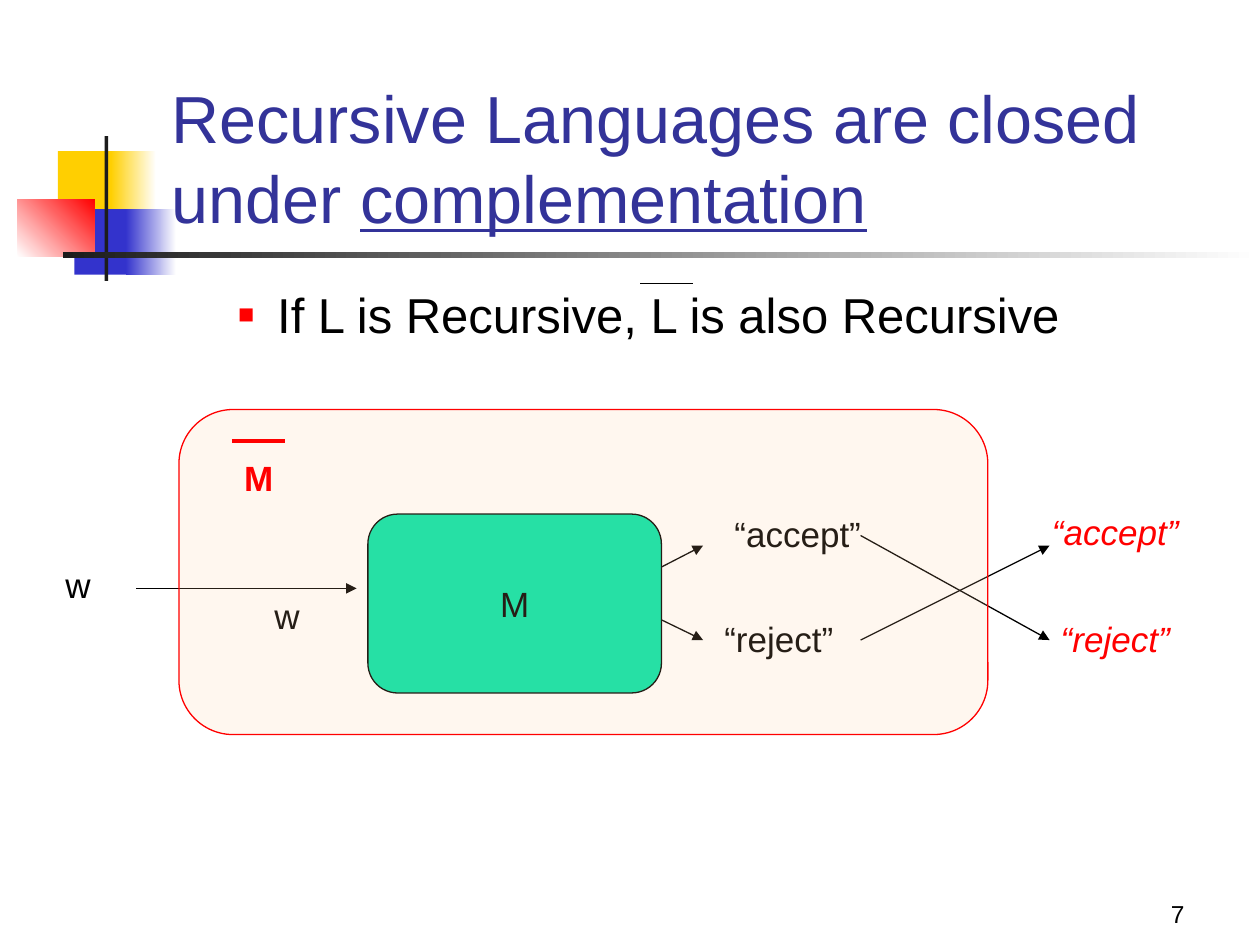
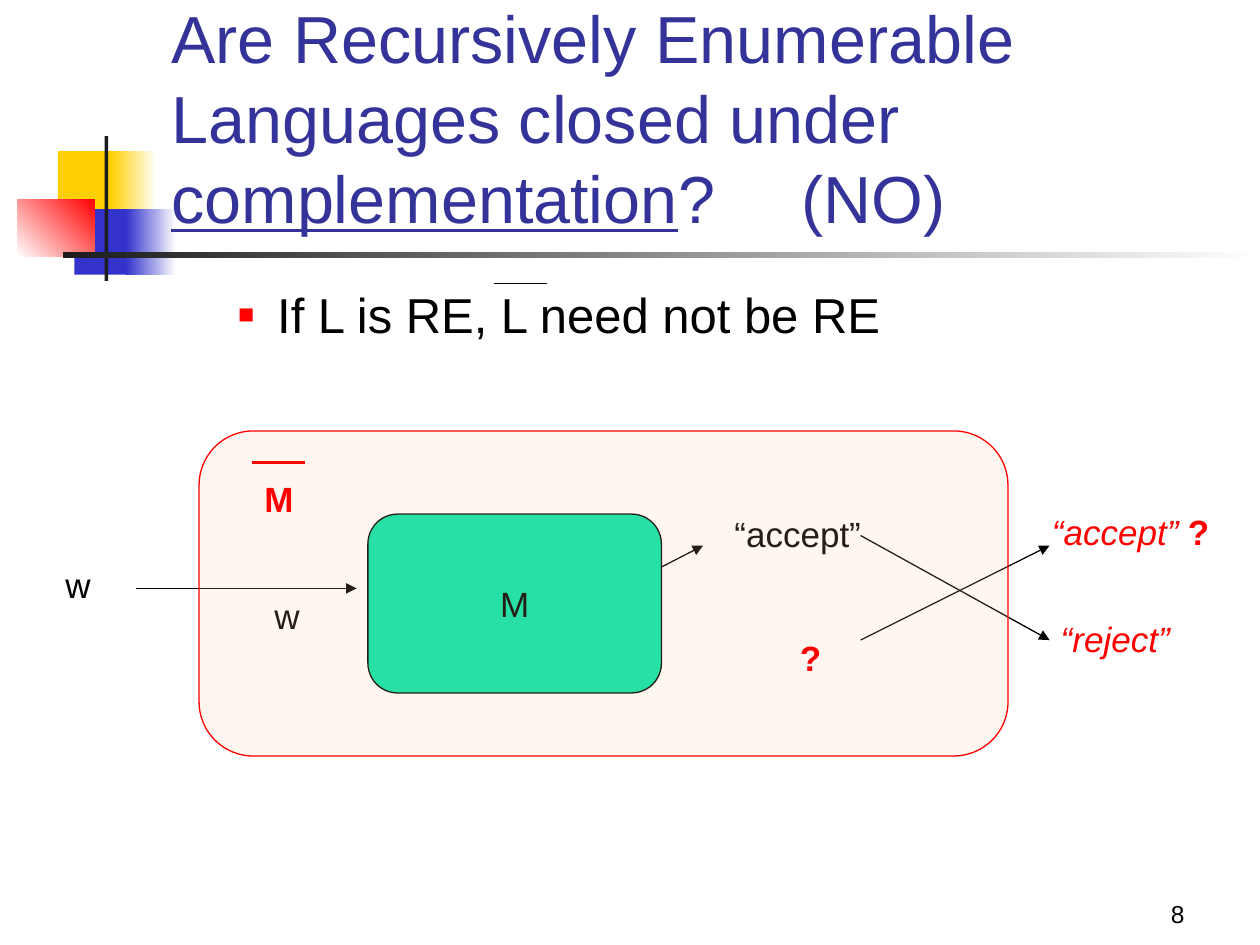
import pptx
import pptx.util
import pptx.dml.color
import pptx.enum.shapes
import pptx.enum.text
import pptx.oxml.ns
import lxml.etree

Inches = pptx.util.Inches
Pt = pptx.util.Pt
RGBColor = pptx.dml.color.RGBColor
SHAPE = pptx.enum.shapes.MSO_SHAPE
ALIGN = pptx.enum.text.PP_ALIGN
ANCHOR = pptx.enum.text.MSO_ANCHOR
qn = pptx.oxml.ns.qn

BLACK = RGBColor(0x00, 0x00, 0x00)
WHITE = RGBColor(0xFF, 0xFF, 0xFF)
RED = RGBColor(0xFF, 0x00, 0x00)
YELLOW = RGBColor(0xFF, 0xCF, 0x01)
BLUE = RGBColor(0x33, 0x33, 0xCC)
CHARCOAL = RGBColor(0x1C, 0x1C, 0x1C)
TITLE_BLUE = RGBColor(0x33, 0x33, 0x99)
GREEN = RGBColor(0x00, 0xE4, 0xA8)
PEACH = RGBColor(0xFF, 0xCC, 0x99)


def add_text(p, text, size=20, color=BLACK, bold=False, italic=False, underline=False, align=ALIGN.LEFT):
    p.alignment = align
    r = p.add_run()
    r.text = text
    r.font.name = "Arial"
    r.font.size = Pt(size)
    r.font.color.rgb = color
    r.font.bold = bold
    r.font.italic = italic
    r.font.underline = underline


def sub(parent, tag, **attributes):
    return lxml.etree.SubElement(parent, qn(tag), attributes)


class Deck:
    def __init__(self):
        self.prs = pptx.Presentation()
        self.prs.slide_width = Inches(10)
        self.prs.slide_height = Inches(7.5)
        self.layout = self.prs.slide_layouts[1]
        self.s = None

    def new_slide(self, number):
        self.s = self.prs.slides.add_slide(self.layout)
        if len(self.prs.slides) == 1:
            self.decorate_layout()
        self.label(str(number), 7.42, 6.92, 2.08, 0.5, anchor=ANCHOR.BOTTOM, size=14, align=ALIGN.RIGHT)

    def decorate_layout(self):
        parts = [
            (0.46, 1.2, 0.48, 0.52, YELLOW, None, 0),
            (0.88, 1.2, 0.36, 0.52, YELLOW, WHITE, 0),
            (0.59, 1.66, 0.46, 0.52, BLUE, None, 0),
            (1, 1.66, 0.4, 0.52, BLUE, WHITE, 0),
            (0.14, 1.58, 0.61, 0.46, WHITE, RED, 45),
            (0.83, 1.08, 0.03, 1.15, CHARCOAL, None, 0),
            (0.5, 2, 9.5, 0.05, CHARCOAL, WHITE, 0),
        ]
        for i, (x, y, w, h, color, end, angle) in enumerate(parts):
            sp = self.shape(SHAPE.RECTANGLE, x, y, w, h, color)
            if end is not None:
                sp.fill.gradient()
                sp.fill.gradient_angle = angle
                for stop, stop_color in zip(sp.fill.gradient_stops, (color, end)):
                    stop.color.rgb = stop_color
            self.layout.shapes._spTree.insert(2 + i, sp._element)

    def shape(self, kind, x, y, w, h, fill, line=None, alpha=None):
        sp = self.s.shapes.add_shape(kind, Inches(x), Inches(y), Inches(w), Inches(h))
        sp.shadow.inherit = False
        sp.fill.solid()
        sp.fill.fore_color.rgb = fill
        if alpha is not None:
            color = sp._element.spPr.find(qn("a:solidFill")).find(qn("a:srgbClr"))
            sub(color, "a:alpha", val=str(alpha * 1000))
        if line is None:
            sp.line.fill.background()
        else:
            sp.line.color.rgb = line
            sp.line.width = Pt(0.75)
        return sp

    def place(self, sp, x, y, w, h, anchor):
        sp.left, sp.top, sp.width, sp.height = Inches(x), Inches(y), Inches(w), Inches(h)
        tf = sp.text_frame
        tf.word_wrap = True
        tf.auto_size = pptx.enum.text.MSO_AUTO_SIZE.NONE
        tf.vertical_anchor = anchor
        return tf.paragraphs[0]

    def title(self, before, underlined, after=""):
        p = self.place(self.s.shapes.title, 1.26, 0.68, 8.52, 1.25, ANCHOR.BOTTOM)
        tabs = sub(p._p.get_or_add_pPr(), "a:tabLst")
        sub(tabs, "a:tab", pos=str(Inches(5)), algn="l")
        for text, underline in ((before, False), (underlined, True), (after, False)):
            if text:
                add_text(p, text, size=38, color=TITLE_BLUE, underline=underline)

    def bullet(self, text):
        p = self.place(self.s.placeholders[1], 1.29, 2.21, 8.5, 4.5, ANCHOR.TOP)
        p.level = 1
        p.space_before = Pt(0)
        pPr = p._p.get_or_add_pPr()
        pPr.set("marL", str(Inches(0.81)))
        pPr.set("indent", str(Inches(-0.31)))
        sub(sub(pPr, "a:buClr"), "a:srgbClr", val=str(RED))
        sub(pPr, "a:buSzPct", val="55000")
        sub(pPr, "a:buFont", typeface="Arial")
        sub(pPr, "a:buChar", char="■")
        add_text(p, text, size=28)

    def label(self, text, x, y, w, h=0.43, anchor=ANCHOR.TOP, **fmt):
        tf = self.s.shapes.add_textbox(Inches(x), Inches(y), Inches(w), Inches(h)).text_frame
        tf.word_wrap = False
        tf.vertical_anchor = anchor
        add_text(tf.paragraphs[0], text, **fmt)

    def line(self, x1, y1, x2, y2, color=BLACK, width=0.75, arrow=False):
        cn = self.s.shapes.add_connector(
            pptx.enum.shapes.MSO_CONNECTOR.STRAIGHT, Inches(x1), Inches(y1), Inches(x2), Inches(y2))
        cn.line.color.rgb = color
        cn.line.width = Pt(width)
        spPr = cn._element.spPr
        if arrow:
            sub(spPr.find(qn("a:ln")), "a:tailEnd", type="triangle")
        sub(spPr, "a:effectLst")

    def overline(self, x, y, **fmt):
        self.line(x, y, x + 0.42, y, **fmt)

    def machine(self, outer_x, outer_y, rejects):
        sp = self.shape(SHAPE.ROUNDED_RECTANGLE, 2.92, 4.08, 2.33, 1.42, GREEN, BLACK)
        sp.text_frame.word_wrap = False
        sp.text_frame.vertical_anchor = ANCHOR.MIDDLE
        add_text(sp.text_frame.paragraphs[0], "M", align=ALIGN.CENTER)
        self.label("w", 0.42, 4.42, 0.4)
        self.line(1.08, 4.67, 2.83, 4.67, arrow=True)
        self.line(5.25, 4.5, 5.58, 4.33, arrow=True)
        self.label("“accept”", 5.73, 4.02, 1.35)
        if rejects:
            self.line(5.25, 4.92, 5.58, 5.08, arrow=True)
            self.label("“reject”", 5.65, 4.85, 1.2)
        self.line(6.83, 4.25, 8.33, 5.08, arrow=True)
        self.line(6.83, 5.08, 8.33, 4.33, arrow=True)
        self.label("“reject”", 8.32, 4.85, 1.2, color=RED, italic=True)
        self.label("“accept”", 8.25, 4, 1.35, color=RED, italic=True)
        self.label("w", 2.08, 4.67, 0.4)
        self.shape(SHAPE.ROUNDED_RECTANGLE, outer_x, outer_y, 6.42, 2.58, PEACH, RED, alpha=15)
        self.label("M", outer_x + 0.42, outer_y + 0.32, 0.43, color=RED, bold=True)
        self.overline(outer_x + 0.42, outer_y + 0.25, color=RED, width=1.75)


def main():
    deck = Deck()

    deck.new_slide(7)
    deck.title("Recursive Languages are closed under ", "complementation")
    deck.bullet("If L is Recursive, L is also Recursive")
    deck.machine(1.42, 3.25, rejects=True)
    deck.overline(5.08, 2.25)

    deck.new_slide(8)
    deck.title("Are Recursively Enumerable Languages closed under ", "complementation", "?\t(NO)")
    deck.bullet("If L is RE, L need not be RE")
    deck.machine(1.58, 3.42, rejects=False)
    deck.overline(3.92, 2.25)
    for x, y in ((6.25, 5), (9.33, 4)):
        deck.label("?", x, y, 0.37, color=RED, bold=True)

    deck.prs.save("out.pptx")


if __name__ == "__main__":
    main()
